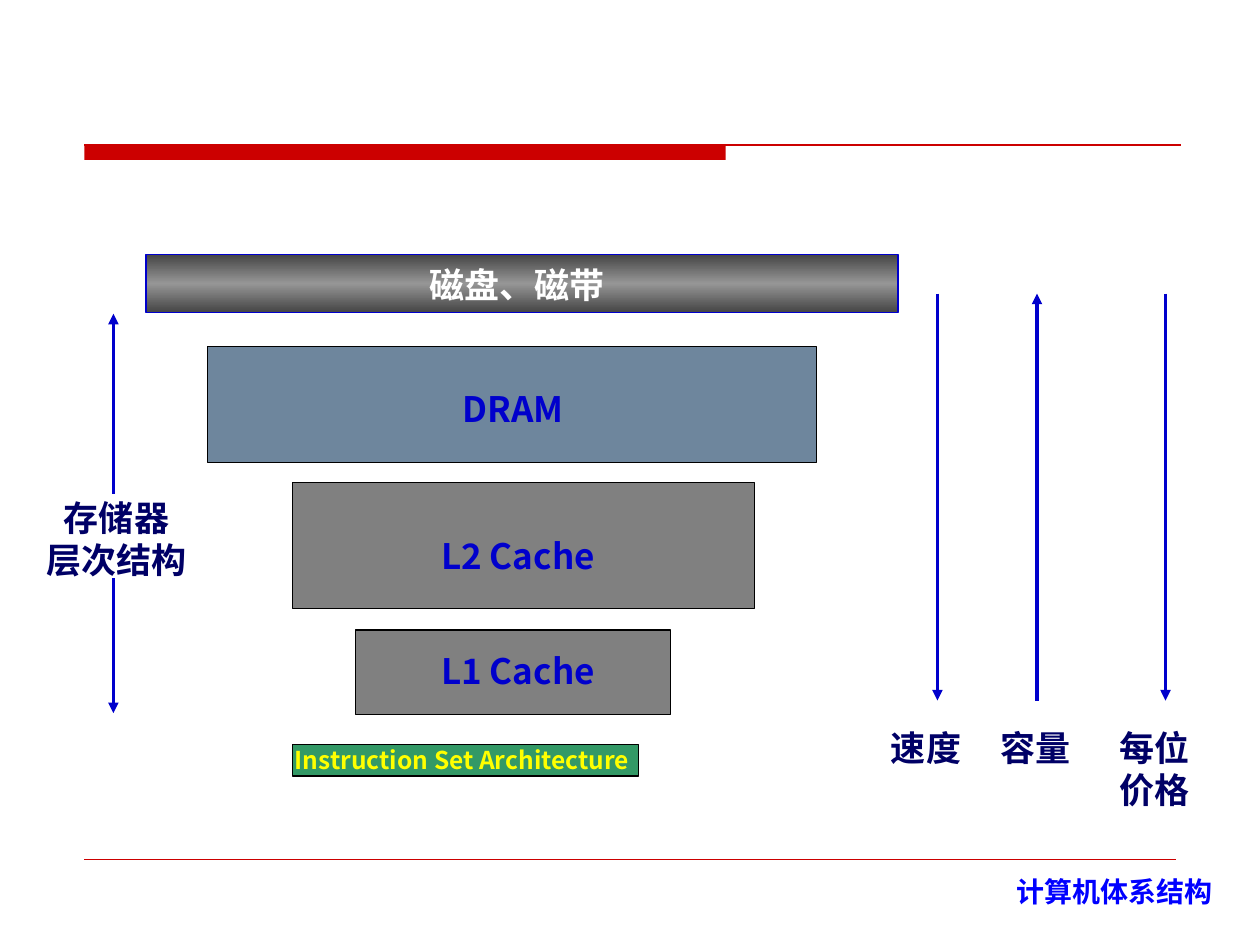
from copy import deepcopy

from lxml import etree
from pptx import Presentation
from pptx.dml.color import RGBColor
from pptx.enum.shapes import MSO_CONNECTOR, MSO_SHAPE
from pptx.enum.text import MSO_AUTO_SIZE, PP_ALIGN
from pptx.oxml.ns import qn
from pptx.util import Inches, Pt

STRAIGHT = MSO_CONNECTOR.STRAIGHT
RECTANGLE = MSO_SHAPE.RECTANGLE
FIXED_SIZE, FIT_SHAPE = MSO_AUTO_SIZE.NONE, MSO_AUTO_SIZE.SHAPE_TO_FIT_TEXT
LEFT, CENTER, RIGHT = PP_ALIGN.LEFT, PP_ALIGN.CENTER, PP_ALIGN.RIGHT

FONT = "Noto Sans CJK SC"
COLORS = {
    "red": "CC0000",
    "blue": "0000CC",
    "footer": "0000FF",
    "navy": "000066",
    "white": "FFFFFF",
    "yellow": "FFFF00",
    "black": "000000",
    "gray": "808080",
    "slate": "6E869D",
    "green": "339966",
    "metal_dark": "454545",
    "metal_light": "969696",
}
CAPTION = {"color": "navy", "align": CENTER}
LEVEL_LABEL = {"insets": (0.07, 0.03), "spacing": 0.9}


def rgb(name):
    return RGBColor.from_string(COLORS[name])


def add_line(page, start, end, color, width, arrow=False):
    points = [Inches(value) for value in (*start, *end)]
    line = page.shapes.add_connector(STRAIGHT, *points)
    line.line.color.rgb = rgb(color)
    line.line.width = Pt(width)
    if arrow:
        outline = line.line._get_or_add_ln()
        etree.SubElement(outline, qn("a:tailEnd"), type="triangle")
    etree.SubElement(line._element.spPr, qn("a:effectLst"))


def add_bar(page, box, fill, line=None, width=0.75):
    bar = page.shapes.add_shape(RECTANGLE, *[Inches(value) for value in box])
    bar.shadow.inherit = False
    if fill == "metal":
        fill_metal(bar)
    else:
        bar.fill.solid()
        bar.fill.fore_color.rgb = rgb(fill)
    if line:
        bar.line.color.rgb = rgb(line)
        bar.line.width = Pt(width)
    else:
        bar.line.fill.background()


def fill_metal(bar):
    """Vertical gradient, dark at both edges and light in the middle."""
    bar.fill.gradient()
    bar.fill.gradient_angle = 270
    stop_list = bar._element.spPr.find(".//" + qn("a:gsLst"))
    stop_list.insert(1, deepcopy(stop_list[0]))
    tones = ("metal_dark", "metal_light", "metal_dark")
    for stop, tone, position in zip(bar.fill.gradient_stops, tones, (0, 0.5, 1)):
        stop.color.rgb = rgb(tone)
        stop.position = position


def add_text(page, box, lines, color, size=20, align=LEFT,
             insets=(0.1, 0.05), spacing=None, wrap=False):
    text_box = page.shapes.add_textbox(*[Inches(value) for value in box])
    frame = text_box.text_frame
    across, down = [Inches(value) for value in insets]
    settings = {
        "margin_left": across, "margin_right": across,
        "margin_top": down, "margin_bottom": down,
        "word_wrap": wrap,
        "auto_size": FIXED_SIZE if wrap else FIT_SHAPE,
    }
    for name, value in settings.items():
        setattr(frame, name, value)
    for index, line in enumerate(lines):
        para = frame.add_paragraph() if index else frame.paragraphs[0]
        para.alignment = align
        if spacing:
            para.line_spacing = spacing
        span = para.add_run()
        span.text = line
        for name, value in {"name": FONT, "size": Pt(size), "bold": True}.items():
            setattr(span.font, name, value)
        span.font.color.rgb = rgb(color)
        etree.SubElement(span._r.get_or_add_rPr(), qn("a:ea"), typeface=FONT)


def add_frame(page, left, right):
    """Header rule, footer rule and course name."""
    add_bar(page, (left, 1.15, 5.09, 0.12), "red")
    add_line(page, (left, 1.15), (right, 1.15), "red", 0.75)
    add_line(page, (left, 6.82), (9.33, 6.82), "red", 0.25)
    add_text(page, (7.27, 6.89, 2.45, 0.43), ["计算机体系结构"], "footer",
             size=16, align=RIGHT, wrap=True)


def add_levels(page):
    """Memory levels from the largest to the smallest, each with its label."""
    levels = [
        ((1.16, 2.02, 5.97, 0.46), "metal", "blue", 1,
         (3.34, 2.1, 1.6, 0.36), "磁盘、磁带", "white", 20),
        ((1.65, 2.75, 4.83, 0.92), "slate", "black", 0.75,
         (3.6, 3.08, 1.05, 0.36), "DRAM", "blue", 20),
        ((2.32, 3.83, 3.67, 1), "gray", "black", 0.75,
         (3.43, 4.25, 1.42, 0.36), "L2 Cache", "blue", 20),
        ((2.82, 5, 2.5, 0.67), "gray", "black", 0.75,
         (3.43, 5.16, 1.42, 0.36), "L1 Cache", "blue", 20),
        ((2.32, 5.91, 2.75, 0.25), "green", "black", 0.75,
         (2.27, 5.91, 2.91, 0.27), "Instruction Set Architecture", "yellow", 14),
    ]
    for box, fill, line, width, label_box, label, color, size in levels:
        add_bar(page, box, fill, line, width)
        add_text(page, label_box, [label], color, size, **LEVEL_LABEL)


def add_hierarchy_span(page, center):
    add_text(page, (0.25, 3.89, 1.35, 0.76), ["存储器", "层次结构"], **CAPTION)
    for start, end in ((3.92, 2.49), (4.59, 5.66)):
        add_line(page, (center, start), (center, end), "blue", 2, arrow=True)


def add_trends(page, top, bottom):
    """Arrows with captions below; the capacity arrow points upward."""
    trends = [
        (7.44, 6.95, ["速度"], False),
        (8.23, 7.82, ["容量"], True),
        (9.25, 8.76, ["每位", "价格"], False),
    ]
    for center, left, lines, upward in trends:
        start, end = (bottom, top) if upward else (top, bottom)
        add_line(page, (center, start), (center, end), "blue", 2, arrow=True)
        height = 0.1 + 0.33 * len(lines)
        add_text(page, (left, 5.72, 0.8, height), lines, **CAPTION)


def main():
    deck = Presentation()
    deck.slide_width, deck.slide_height = Inches(10), Inches(7.5)
    page = deck.slides.add_slide(deck.slide_layouts[6])
    add_frame(page, 0.67, 9.37)
    add_levels(page)
    add_hierarchy_span(page, 0.9)
    add_trends(page, 2.33, 5.56)
    deck.save("out.pptx")


if __name__ == "__main__":
    main()
